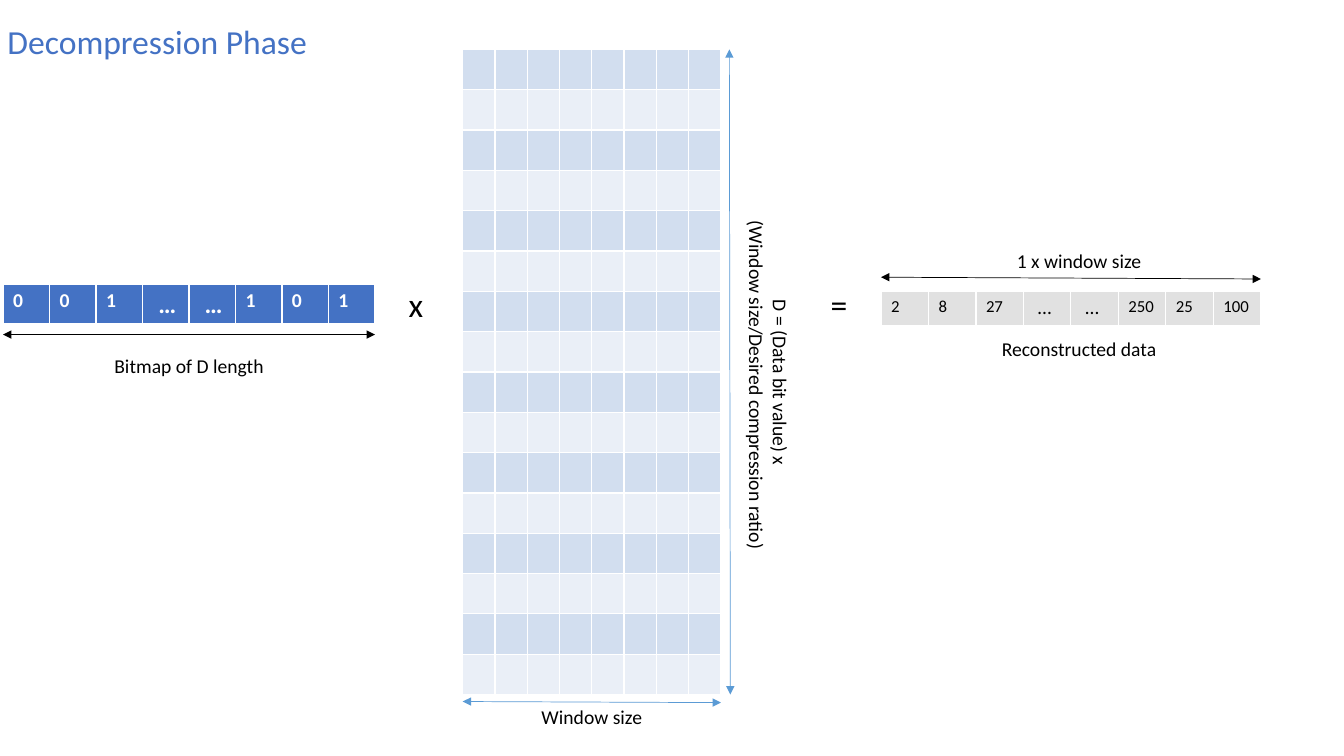
from dataclasses import dataclass

from lxml.etree import SubElement
from pptx import Presentation
from pptx.dml.color import RGBColor
from pptx.enum.shapes import MSO_CONNECTOR
from pptx.enum.text import MSO_ANCHOR, MSO_AUTO_SIZE, PP_ALIGN
from pptx.oxml.ns import qn
from pptx.util import Pt


@dataclass(frozen=True)
class Theme:
    font: str = "Calibri"
    heading: int = 24
    label: int = 14
    value: int = 12
    bitmap_dots: int = 18
    black: str = "000000"
    white: str = "FFFFFF"
    blue: str = "4472C4"
    arrow_blue: str = "5B9BD5"
    bands: tuple = ("D2DEEF", "EAEFF7")
    grey: str = "E1E1E1"


THEME = Theme()
COLUMNS = 8
MATRIX_ROWS = 16
DOTS = " …"


def style_font(font, size, color, bold=False):
    font.name = THEME.font
    font.size = Pt(size)
    font.bold = bold
    font.color.rgb = RGBColor.from_string(color)


def fill_text(shape, text, size, color, wrap=False):
    frame = shape.text_frame
    frame.text = text
    frame.word_wrap = wrap
    frame.auto_size = MSO_AUTO_SIZE.NONE
    frame.vertical_anchor = MSO_ANCHOR.TOP
    for paragraph in frame.paragraphs:
        paragraph.alignment = PP_ALIGN.CENTER
        style_font(paragraph.font, size, color)


def add_label(slide, box, text, size=THEME.label, rotation=0):
    label = slide.shapes.add_textbox(*map(Pt, box))
    label.rotation = rotation
    fill_text(label, text, size, THEME.black)


def add_double_arrow(slide, start, end, color):
    arrow = slide.shapes.add_connector(MSO_CONNECTOR.STRAIGHT, *map(Pt, start + end))
    arrow.line.color.rgb = RGBColor.from_string(color)
    arrow.line.width = Pt(0.5)
    line = arrow.line._get_or_add_ln()
    for side in ("a:headEnd", "a:tailEnd"):
        SubElement(line, qn(side), type="triangle")
    SubElement(arrow._element.spPr, qn("a:effectLst"))


def add_borders(cell, bottom_width):
    properties = cell._tc.get_or_add_tcPr()
    widths = {"a:lnL": 1, "a:lnR": 1, "a:lnT": 1, "a:lnB": bottom_width}
    for side, width in widths.items():
        border = SubElement(properties, qn(side), w=str(Pt(width)))
        fill = SubElement(border, qn("a:solidFill"))
        SubElement(fill, qn("a:srgbClr"), val=THEME.white)


def add_grid(slide, box, row_fills, bottom_width=1):
    """Add a grid of equal cells, one row for each fill colour."""
    left, top, width, height = box
    table = slide.shapes.add_table(len(row_fills), COLUMNS, *map(Pt, box)).table
    table.first_row = table.horz_banding = False
    for column in table.columns:
        column.width = Pt(width / COLUMNS)
    for row, color in zip(table.rows, row_fills):
        row.height = Pt(height / len(row_fills))
        for cell in row.cells:
            add_borders(cell, bottom_width)
            cell.fill.solid()
            cell.fill.fore_color.rgb = RGBColor.from_string(color)
    return table


def fill_values(table, values, size, dots_size, color, bold=False):
    for cell, value in zip(table.rows[0].cells, values):
        cell.text = value
        style_font(cell.text_frame.paragraphs[0].font,
                   dots_size if value == DOTS else size, color, bold)


def add_title(slide, box):
    title = slide.shapes.title
    title.left, title.top, title.width, title.height = map(Pt, box)
    fill_text(title, "Decompression Phase", THEME.heading, THEME.blue)


def add_bitmap(slide, box):
    left, top, width, height = box
    table = add_grid(slide, box, [THEME.blue], bottom_width=3)
    fill_values(table, ["0", "0", "1", DOTS, DOTS, "1", "0", "1"],
                THEME.label, THEME.bitmap_dots, THEME.white, bold=True)
    arrow_y = top + 36
    add_double_arrow(slide, (left, arrow_y), (left + width, arrow_y), THEME.black)
    add_label(slide, (left, top + 46, width, 24.5), "Bitmap of D length")


def add_matrix(slide, box):
    left, top, width, height = box
    right, bottom = left + width, top + height
    table = add_grid(slide, box, THEME.bands * (MATRIX_ROWS // 2))
    for cell in table.iter_cells():
        cell.margin_top = cell.margin_bottom = 0
        style_font(cell.text_frame.paragraphs[0].font, THEME.value, THEME.black)
    # Height and width arrows
    add_double_arrow(slide, (right + 6, top), (right + 6.7, bottom), THEME.arrow_blue)
    add_double_arrow(slide, (left, bottom + 5), (right, bottom + 5.8), THEME.arrow_blue)
    add_label(slide, (left, bottom + 3.6, width, 24.5), "Window size")
    # Rotated about its centre, to the right of the height arrow
    add_label(slide, (right - 93, top + 217.5, 254, 41),
              "D = (Data bit value) x\n (Window size/Desired compression ratio)",
              rotation=90)


def add_reconstruction(slide, box):
    left, top, width, height = box
    table = add_grid(slide, box, [THEME.grey])
    fill_values(table, ["2", "8", "27", DOTS, DOTS, "250", "25", "100"],
                THEME.value, THEME.label, THEME.black)
    add_double_arrow(slide, (left, top - 10), (left + width, top - 8.7), THEME.black)
    add_label(slide, (left + 83, top - 34, 117, 24.5), "1 x window size")
    add_label(slide, (left + 78.5, top + 29, 126, 24.5), "Reconstructed data")


def main():
    presentation = Presentation()
    presentation.slide_width, presentation.slide_height = Pt(960), Pt(540)
    title_only = presentation.slide_layouts[5]
    slide = presentation.slides.add_slide(title_only)

    add_title(slide, (-2.9, 11.5, 230.4, 36))
    add_bitmap(slide, (2.2, 203, 265.7, 28.8))
    add_label(slide, (284.4, 199.4, 25.2, 36), "x", THEME.heading)
    add_matrix(slide, (330.5, 35.3, 184.5, 460.8))
    add_label(slide, (586, 199.4, 26.6, 36), "=", THEME.heading)
    add_reconstruction(slide, (629.3, 208, 271.4, 23.8))

    presentation.save("out.pptx")


if __name__ == "__main__":
    main()
